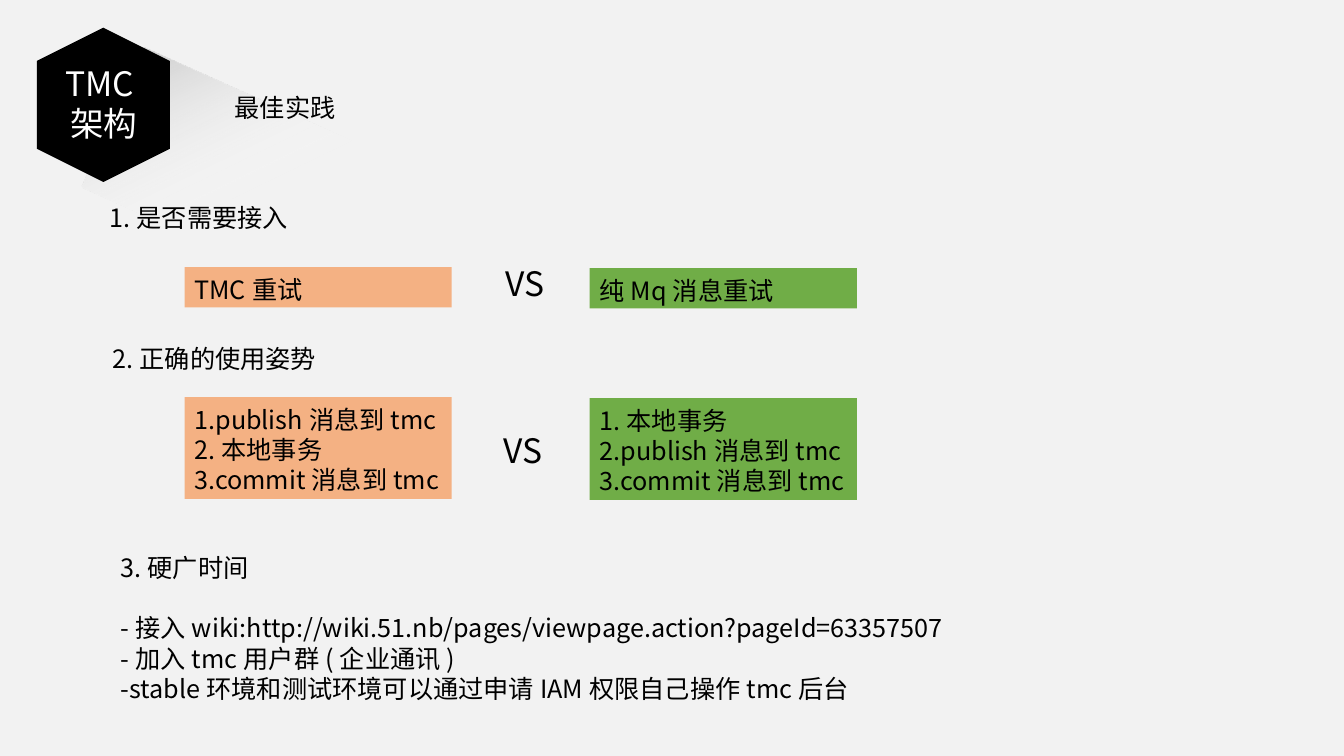
from lxml.etree import SubElement
from pptx import Presentation
from pptx.dml.color import RGBColor
from pptx.enum.shapes import MSO_SHAPE
from pptx.enum.text import MSO_AUTO_SIZE, PP_ALIGN
from pptx.oxml import parse_xml
from pptx.oxml.ns import nsdecls, qn
from pptx.util import Pt

BACKGROUND = RGBColor(0xF2, 0xF2, 0xF2)
BLACK = RGBColor(0x00, 0x00, 0x00)
WHITE = RGBColor(0xFF, 0xFF, 0xFF)
ORANGE = RGBColor(0xF4, 0xB1, 0x83)
GREEN = RGBColor(0x70, 0xAD, 0x47)

BODY, LARGE = 18, 24
LINE_RATIO = 1.2
SHADOW_GRADIENT = f"""
<a:gradFill {nsdecls("a")} rotWithShape="1"><a:gsLst>
  <a:gs pos="0"><a:srgbClr val="85A3D9"><a:alpha val="54000"/></a:srgbClr></a:gs>
  <a:gs pos="0"><a:srgbClr val="BFBFBF"/></a:gs>
  <a:gs pos="54000"><a:srgbClr val="FFFFFF"><a:alpha val="0"/></a:srgbClr></a:gs>
</a:gsLst><a:lin ang="2400000" scaled="0"/></a:gradFill>"""


class SlideBuilder:
    """Holds the text style and the slide being filled."""

    font_name = "Noto Sans CJK SC"
    frame_format = {
        "word_wrap": True,
        "auto_size": MSO_AUTO_SIZE.SHAPE_TO_FIT_TEXT,
        "margin_top": Pt(5),
        "margin_bottom": Pt(2.2),
    }

    def __init__(self, slide):
        self.slide = slide
        slide.background.fill.solid()
        slide.background.fill.fore_color.rgb = BACKGROUND

    def shape(self, parent, kind, left, top, width, height, rotation):
        shape = parent.add_shape(kind, Pt(left), Pt(top), Pt(width), Pt(height))
        shape.rotation = rotation
        shape.shadow.inherit = False
        shape.line.fill.background()
        return shape

    def text(self, parent, left, top, width, height, lines, size=BODY,
             color=BLACK, align=PP_ALIGN.LEFT, fill=None):
        box = parent.add_textbox(Pt(left), Pt(top), Pt(width), Pt(height))
        if fill is not None:
            box.fill.solid()
            box.fill.fore_color.rgb = fill
        frame = box.text_frame
        for name, value in self.frame_format.items():
            setattr(frame, name, value)
        frame.text = "\n".join(lines)
        for paragraph in frame.paragraphs:
            paragraph.alignment = align
            paragraph.line_spacing = Pt(size * LINE_RATIO)
            for run in paragraph.runs:
                run.font.size = Pt(size)
                run.font.name = self.font_name
                run.font.color.rgb = color
                east_asian = SubElement(run.font._element, qn("a:ea"))
                east_asian.set("typeface", self.font_name)
        return box

    def badge(self, lines):
        group = self.slide.shapes.add_group_shape().shapes
        shadow = self.shape(group, MSO_SHAPE.RECTANGLE, 71.3, 71.3, 206.6, 109.4, 24.2)
        shadow.fill.background()
        properties = shadow._element.spPr
        properties.replace(properties.find(qn("a:noFill")), parse_xml(SHADOW_GRADIENT))
        hexagon = self.shape(group, MSO_SHAPE.HEXAGON, 18.7, 27.4, 110.2, 95, 90)
        hexagon.fill.solid()
        hexagon.fill.fore_color.rgb = BLACK
        self.text(group, 30.2, 39.6, 87.8, 66.2, lines, LARGE, WHITE, PP_ALIGN.CENTER)

    def comparison(self, top, height, left_lines, right_lines, versus_left, versus_top):
        shapes = self.slide.shapes
        self.text(shapes, 131.8, top, 190.8, height, left_lines, fill=ORANGE)
        self.text(shapes, 421.2, top + 0.7, 190.8, height, right_lines, fill=GREEN)
        self.text(shapes, versus_left, versus_top, 67.7, 36, ["VS"], LARGE)


def main():
    presentation = Presentation()
    presentation.slide_width, presentation.slide_height = Pt(960), Pt(540)
    slide = presentation.slides.add_slide(presentation.slide_layouts[6])
    builder = SlideBuilder(slide)

    # Header
    builder.badge(["TMC架构"])
    builder.text(slide.shapes, 160.6, 61.2, 484.6, 28.8, ["最佳实践"])

    # Whether to adopt
    builder.text(slide.shapes, 71.3, 139.7, 281.5, 51.1, ["1.是否需要接入"])
    builder.comparison(190.8, 28.8, ["TMC重试"], ["纯Mq消息重试"], 354.2, 182.9)

    # Correct usage
    builder.text(slide.shapes, 73.4, 240.5, 281.5, 28.8, ["2.正确的使用姿势"])
    publish, transaction, commit = "publish消息到tmc", "本地事务", "commit消息到tmc"
    orders = [(publish, transaction, commit), (transaction, publish, commit)]
    steps = [[f"{number}.{step}" for number, step in enumerate(order, 1)]
             for order in orders]
    builder.comparison(283.7, 72.7, *steps, 352.8, 302.4)

    # Announcements
    notes = builder.text(slide.shapes, 79.2, 389.5, 622.1, 116.6, [
        "3.硬广时间",
        "-接入wiki:http://wiki.51.nb/pages/viewpage.action?pageId=63357507",
        "-加入tmc用户群(企业通讯)",
        "-stable环境和测试环境可以通过申请IAM权限自己操作tmc后台",
    ])
    notes.text_frame.paragraphs[1].space_before = Pt(BODY * LINE_RATIO)

    presentation.save("out.pptx")


if __name__ == "__main__":
    main()
